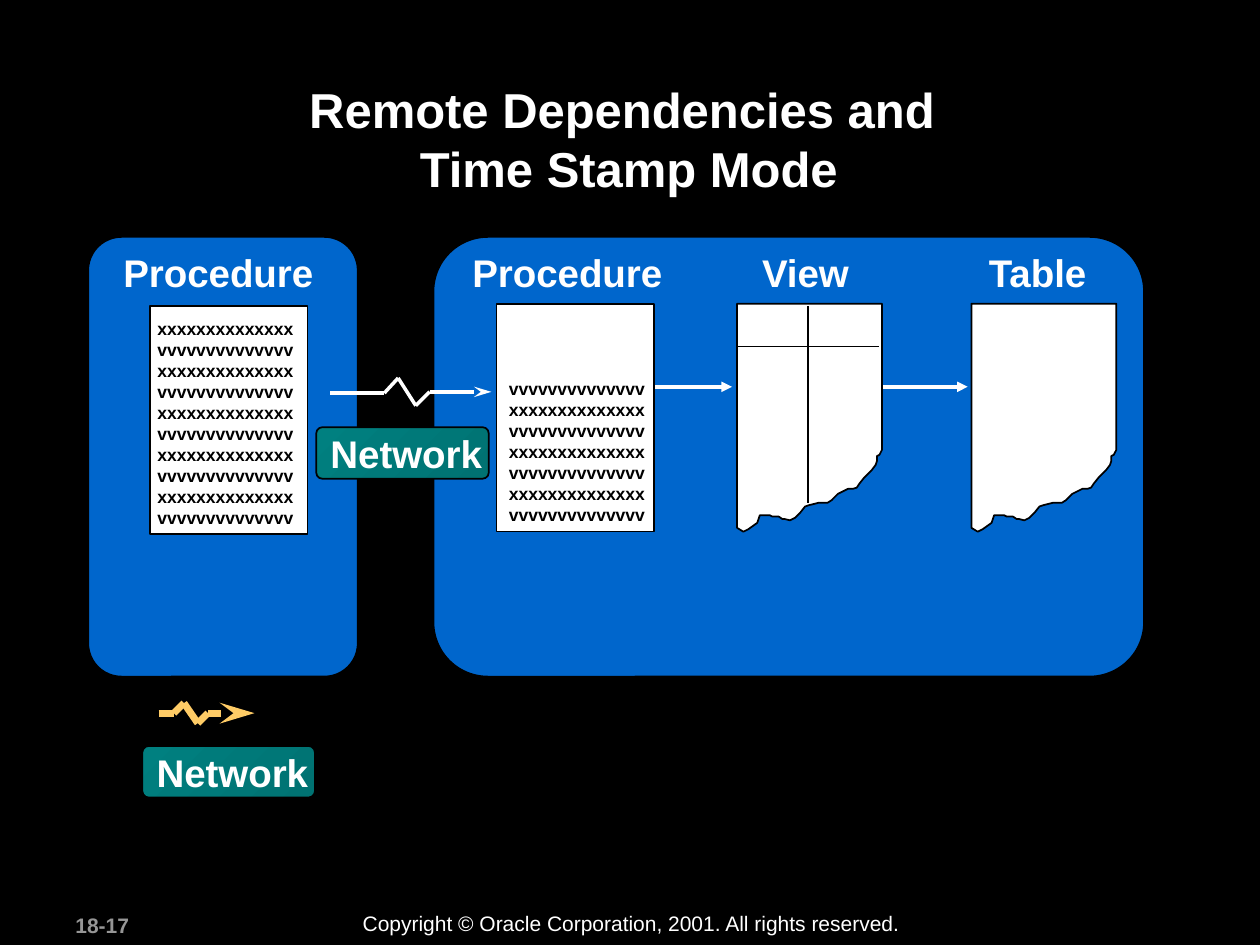
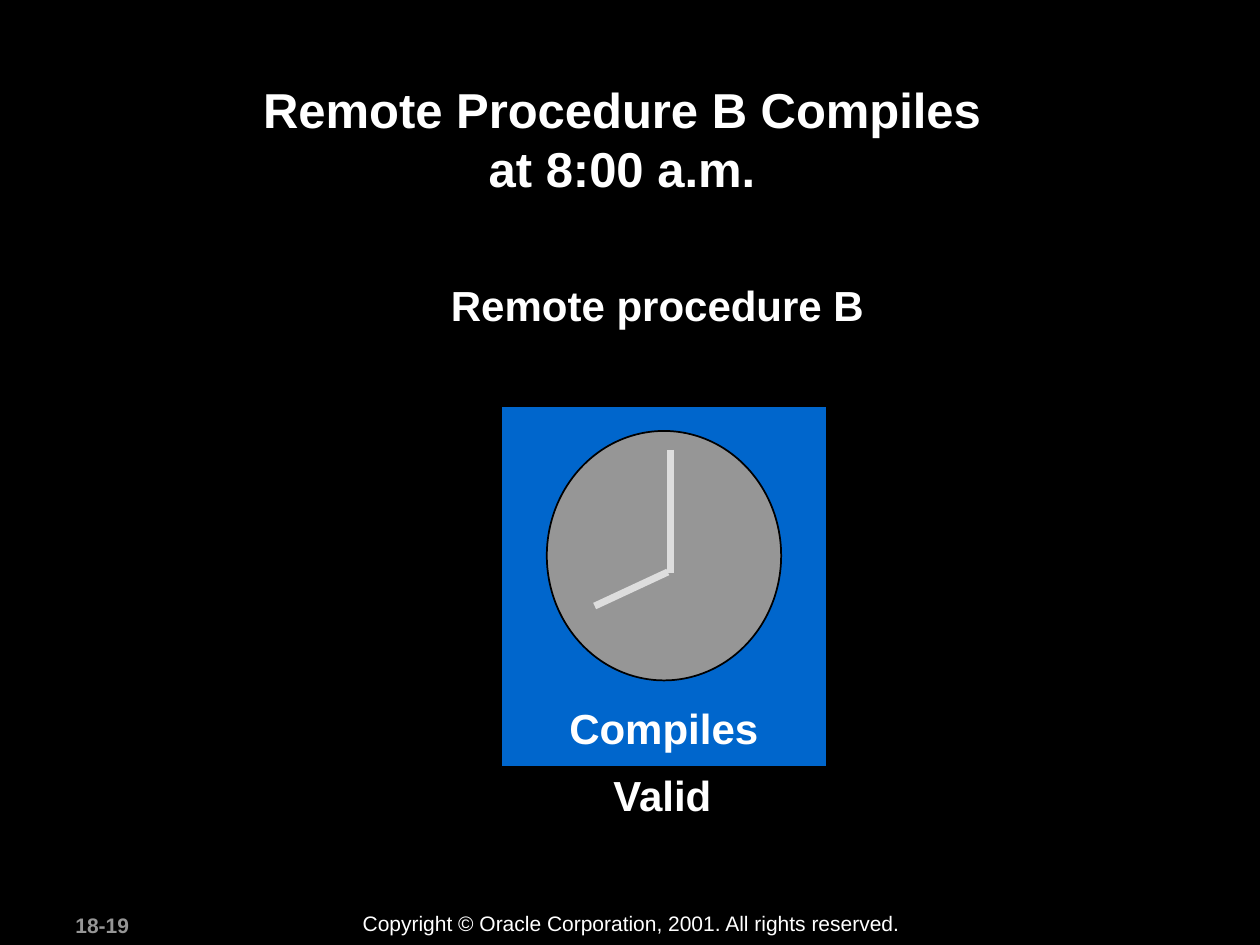
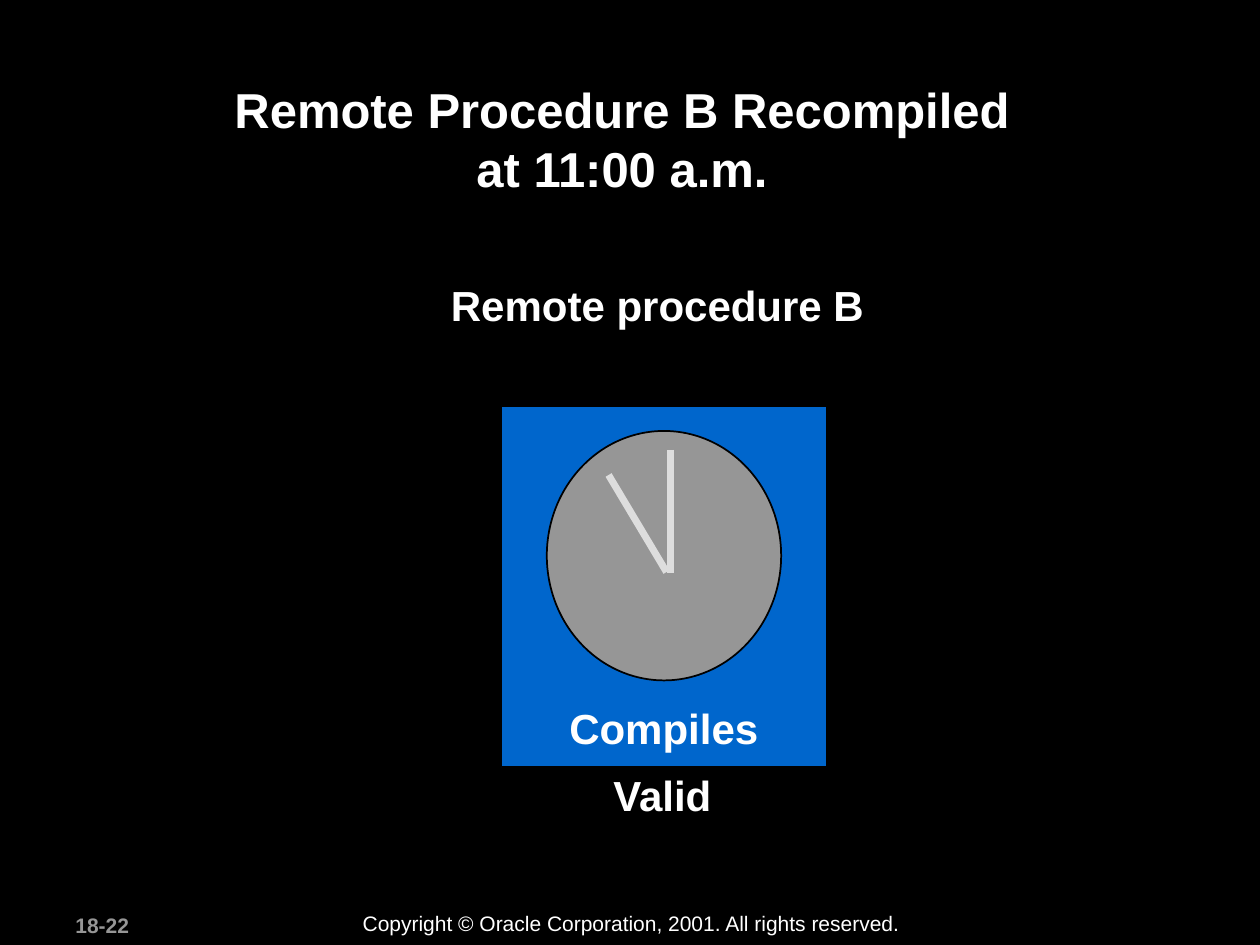
import copy

import pptx
import pptx.dml.color
import pptx.enum.dml
import pptx.enum.shapes
import pptx.enum.text
import pptx.oxml
import pptx.oxml.ns
import pptx.util

Inches = pptx.util.Inches
RGBColor = pptx.dml.color.RGBColor
SHAPE = pptx.enum.shapes.MSO_SHAPE
ALIGN = pptx.enum.text.PP_ALIGN
ANCHOR = pptx.enum.text.MSO_ANCHOR
AUTO_SIZE = pptx.enum.text.MSO_AUTO_SIZE

# Shared style
FONT = "Arial"
BLACK = RGBColor(0x00, 0x00, 0x00)
WHITE = RGBColor(0xFF, 0xFF, 0xFF)
BLUE = RGBColor(0x00, 0x66, 0xCC)
GRAY = RGBColor(0x96, 0x96, 0x96)
HAND_GRAY = RGBColor(0xDD, 0xDD, 0xDD)
GOLD = RGBColor(0xFF, 0xCC, 0x66)
DARK_TEAL = RGBColor(0x00, 0x72, 0x72)
TEAL = RGBColor(0x00, 0x80, 0x80)

# Content
COPYRIGHT = "Copyright © Oracle Corporation, 2001. All rights reserved."
DEPENDENCY_TITLE = "Remote Dependencies and \nTime Stamp Mode"
DEPENDENCY_NUMBER = "18-17"
CLOCK_SLIDES = [
    {"title": "Remote Procedure B Compiles \nat 8:00 a.m. ", "number": "18-19",
     "hour_hand": [(5.3, 4.54), (4.72, 4.81)]},
    {"title": "Remote Procedure B Recompiled \nat 11:00 a.m. ", "number": "18-22",
     "hour_hand": [(5.29, 4.54), (4.83, 3.77)]},
]
CLOCK_LABELS = [
    ("Valid", (4.77, 6.06, 1, 0.5)),
    ("Remote procedure B", (3.48, 2.17, 3.48, 0.5)),
    ("Compiles", (4.42, 5.53, 1.7, 0.5)),
]
X_LINE, V_LINE = "x" * 14, "v" * 14
LOCAL_CODE = [X_LINE, V_LINE] * 5
REMOTE_CODE = [V_LINE] + [X_LINE, V_LINE] * 3

# Layout of the dependency diagram
SITE_PANELS = [(3.44, 1.88, 5.64, 3.49), (0.7, 1.88, 2.14, 3.49)]
COLUMN_HEADINGS = [("Procedure", 0.88, 1.71), ("Procedure", 3.65, 1.71),
                   ("View", 5.95, 0.9), ("Table", 7.75, 1)]
CODE_SHEETS = [
    {"sheet": (1.19, 2.43, 1.25, 1.81), "text": (1.17, 2.48, 1.24, 1.75), "code": LOCAL_CODE},
    {"sheet": (3.94, 2.41, 1.25, 1.81), "text": (3.96, 2.96, 1.24, 1.25), "code": REMOTE_CODE},
]
SHEET_TOP = 2.41
VIEW_LEFT, TABLE_LEFT = 5.85, 7.71
VIEW_GRID = [[(6.41, 2.43), (6.41, 3.99)], [(5.86, 2.75), (6.98, 2.75)]]
REFERENCE_ARROWS = [[(5.15, 3.07), (5.81, 3.07)], [(6.77, 3.07), (7.68, 3.07)]]
NETWORK_LINK = [(2.62, 3.12), (3.05, 3.12), (3.16, 3), (3.3, 3.22), (3.41, 3.11), (3.9, 3.11)]
LEGEND_LINK = [(1.26, 5.66), (1.38, 5.66), (1.46, 5.58), (1.57, 5.74), (1.65, 5.66), (2.02, 5.66)]
NETWORK_BADGES = [(2.51, 3.39, 1.37, 0.41), (1.13, 5.92, 1.37, 0.41)]

# Outline of a torn sheet, in hundredths of an inch from its top left corner
TORN_OUTLINE = [
    (115, 116), (115, 0), (0, 0), (0, 178), (5, 181), (9, 179), (16, 174), (18, 168),
    (26, 168), (28, 169), (33, 169), (36, 171), (38, 171), (42, 172), (46, 170),
    (48, 168), (50, 166), (54, 161), (57, 160), (61, 159), (65, 158), (72, 158),
    (75, 156), (80, 151), (84, 149), (88, 147), (92, 147), (95, 146), (97, 143),
    (101, 138), (104, 135), (107, 132), (110, 128), (111, 125), (111, 121), (113, 120),
]


def to_inches(values):
    return [Inches(value) for value in values]


def write_text(shape, lines, size=22, color=WHITE, bold=True, align=ALIGN.LEFT,
               anchor=ANCHOR.TOP, insets=(0.1, 0.05), wrap=False, auto_size=AUTO_SIZE.NONE):
    """Write one paragraph per item; a newline inside an item is a line break."""
    frame = shape.text_frame
    frame.word_wrap = wrap
    frame.auto_size = auto_size
    frame.vertical_anchor = anchor
    frame.margin_left = frame.margin_right = Inches(insets[0])
    frame.margin_top = frame.margin_bottom = Inches(insets[1])
    for index, line in enumerate(lines):
        paragraph = frame.add_paragraph() if index else frame.paragraphs[0]
        paragraph.text = line
        paragraph.alignment = align
        for run in paragraph.runs:
            run.font.name = FONT
            run.font.size = pptx.util.Pt(size)
            run.font.bold = bold
            run.font.color.rgb = color
        # Line breaks take the format of the text around them
        for line_break in paragraph._p.findall(pptx.oxml.ns.qn("a:br")):
            line_break.append(copy.deepcopy(paragraph.runs[0]._r.rPr))


def add_label(slide, lines, box, **text_format):
    shape = slide.shapes.add_textbox(*to_inches(box))
    write_text(shape, lines, auto_size=AUTO_SIZE.SHAPE_TO_FIT_TEXT, **text_format)


def style_shape(shape, fill):
    shape.shadow.inherit = False
    if fill is not None:
        shape.fill.solid()
        shape.fill.fore_color.rgb = fill
    shape.line.color.rgb = BLACK
    shape.line.width = pptx.util.Pt(1)


def add_preset(slide, preset, box, fill=None):
    shape = slide.shapes.add_shape(preset, *to_inches(box))
    style_shape(shape, fill)
    if preset == SHAPE.ROUNDED_RECTANGLE:
        shape.adjustments[0] = 0.124
    return shape


def add_line(slide, start, end, color, width, arrowhead=None, head_length="med"):
    connector = slide.shapes.add_connector(
        pptx.enum.shapes.MSO_CONNECTOR.STRAIGHT, *to_inches(start + end))
    connector.line.color.rgb = color
    connector.line.width = pptx.util.Pt(width)
    if arrowhead:
        tail = pptx.oxml.parse_xml(
            f'<a:tailEnd {pptx.oxml.ns.nsdecls("a")} type="{arrowhead}" len="{head_length}"/>')
        connector.line._get_or_add_ln().append(tail)
    connector._element.spPr.append(
        pptx.oxml.parse_xml(f'<a:effectLst {pptx.oxml.ns.nsdecls("a")}/>'))


def add_zigzag(slide, points, color, width):
    segments = list(zip(points, points[1:]))
    for start, end in segments[:-1]:
        add_line(slide, start, end, color, width)
    add_line(slide, *segments[-1], color, width, "stealth", head_length="lg")


def add_torn_sheet(slide, left):
    points = [(Inches(left + x / 100), Inches(SHEET_TOP + y / 100)) for x, y in TORN_OUTLINE]
    builder = slide.shapes.build_freeform(*points[0])
    builder.add_line_segments(points[1:], close=True)
    style_shape(builder.convert_to_shape(), WHITE)


def add_network_badge(slide, box):
    badge = add_preset(slide, SHAPE.ROUNDED_RECTANGLE, box)
    badge.fill.gradient()
    badge.fill.gradient_angle = 135
    for stop, color in zip(badge.fill.gradient_stops, (DARK_TEAL, TEAL)):
        stop.color.rgb = color
    write_text(badge, ["Network"], anchor=ANCHOR.MIDDLE)


def add_base_slide(presentation, title, number):
    slide = presentation.slides.add_slide(presentation.slide_layouts[5])
    heading = slide.shapes.title
    heading.left, heading.top, heading.width, heading.height = to_inches((0.94, 0.58, 8.1, 0.96))
    write_text(heading, [title], size=28, align=ALIGN.CENTER, wrap=True)
    add_label(slide, [number], (0.5, 7.19, 1.05, 0.3), size=12, color=GRAY, wrap=True)
    add_label(slide, [COPYRIGHT], (2.78, 7.18, 4.48, 0.3), size=12, bold=False, wrap=True)
    return slide


def build_dependency_slide(presentation):
    slide = add_base_slide(presentation, DEPENDENCY_TITLE, DEPENDENCY_NUMBER)
    add_zigzag(slide, LEGEND_LINK, GOLD, 4)
    for panel in SITE_PANELS:
        add_preset(slide, SHAPE.ROUNDED_RECTANGLE, panel, BLUE)
    for heading, left, width in COLUMN_HEADINGS:
        add_label(slide, [heading], (left, 1.93, width, 0.47))

    # View and table
    for start, end in REFERENCE_ARROWS:
        add_line(slide, start, end, WHITE, 2, "triangle")
    for left in (VIEW_LEFT, TABLE_LEFT):
        add_torn_sheet(slide, left)
    for start, end in VIEW_GRID:
        add_line(slide, start, end, BLACK, 1)

    # Procedures
    for item in CODE_SHEETS:
        add_preset(slide, SHAPE.RECTANGLE, item["sheet"], WHITE)
        add_label(slide, item["code"], item["text"], size=10, color=BLACK, insets=(0.08, 0.04))

    # Network
    add_zigzag(slide, NETWORK_LINK, WHITE, 2)
    for box in NETWORK_BADGES:
        add_network_badge(slide, box)


def build_clock_slide(presentation, content):
    slide = add_base_slide(presentation, content["title"], content["number"])
    add_preset(slide, SHAPE.RECTANGLE, (3.98, 3.22, 2.58, 2.87), BLUE)
    for label, box in CLOCK_LABELS:
        add_label(slide, [label], box, size=24)
    add_preset(slide, SHAPE.OVAL, (4.34, 3.42, 1.86, 1.98), GRAY)
    minute_hand = [(5.32, 3.57), (5.32, 4.55)]
    for start, end in (minute_hand, content["hour_hand"]):
        add_line(slide, start, end, HAND_GRAY, 4)


def main():
    presentation = pptx.Presentation()
    presentation.slide_width = Inches(10)
    presentation.slide_height = Inches(7.5)
    background = presentation.slide_master.background.fill
    background.solid()
    background.fore_color.rgb = BLACK
    build_dependency_slide(presentation)
    for content in CLOCK_SLIDES:
        build_clock_slide(presentation, content)
    presentation.save("out.pptx")


if __name__ == "__main__":
    main()
